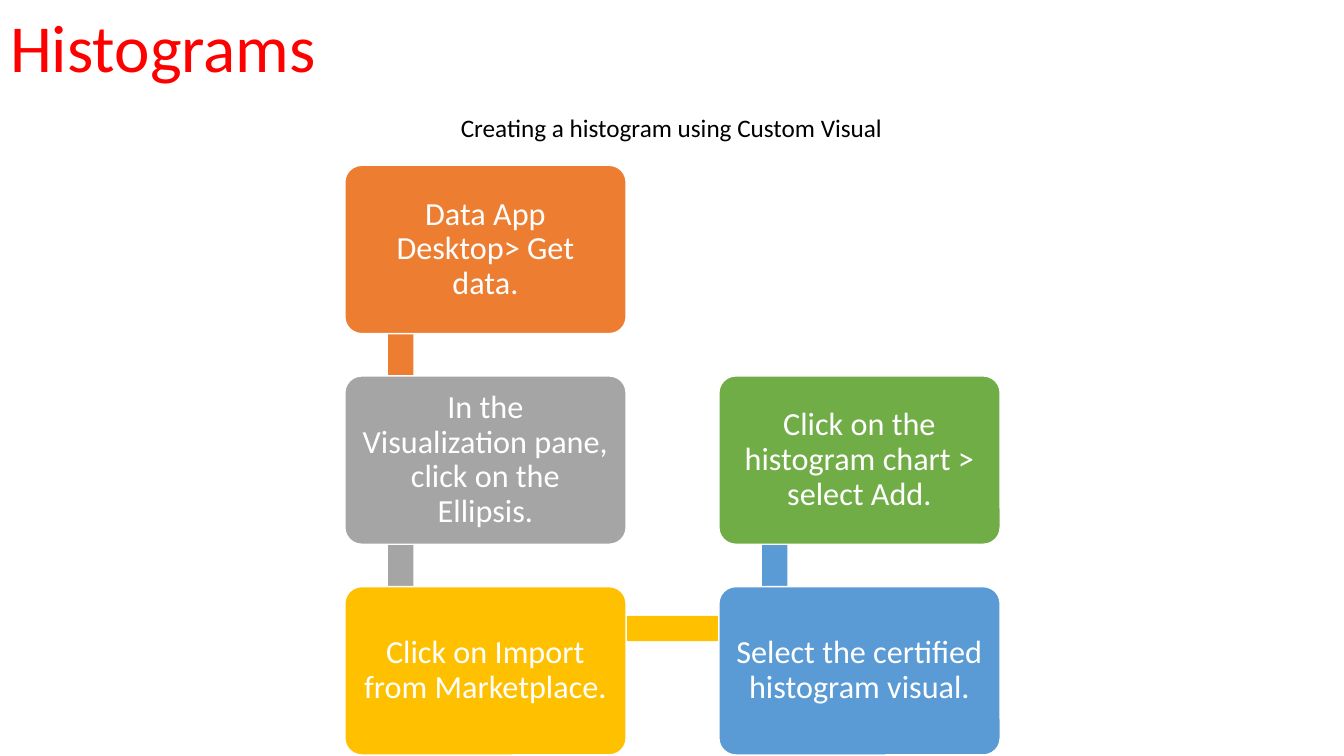
"""Build the slide that shows the steps for creating a histogram."""
from dataclasses import dataclass

from pptx import Presentation
from pptx.dml.color import RGBColor
from pptx.enum.shapes import MSO_SHAPE
from pptx.enum.text import MSO_ANCHOR, MSO_AUTO_SIZE, PP_ALIGN
from pptx.shapes.autoshape import Shape
from pptx.slide import Slide
from pptx.util import Inches, Pt

FONT = "Calibri"
RED = RGBColor(0xFF, 0x00, 0x00)
BLACK = RGBColor(0x00, 0x00, 0x00)
WHITE = RGBColor(0xFF, 0xFF, 0xFF)
ORANGE = RGBColor(0xED, 0x7D, 0x31)
GRAY = RGBColor(0xA5, 0xA5, 0xA5)
GOLD = RGBColor(0xFF, 0xC0, 0x00)
BLUE = RGBColor(0x5B, 0x9B, 0xD5)
GREEN = RGBColor(0x70, 0xAD, 0x47)

GRID_LEFT, GRID_TOP = 3.42, 1.64
COLUMN_PITCH, ROW_PITCH = 3.71, 2.09
BOX_WIDTH, BOX_HEIGHT = 2.79, 1.67
BAR_THICKNESS = 0.25


@dataclass(frozen=True)
class Step:
    text: str
    color: RGBColor
    column: int
    row: int

    @property
    def left(self) -> float:
        return GRID_LEFT + self.column * COLUMN_PITCH

    @property
    def top(self) -> float:
        return GRID_TOP + self.row * ROW_PITCH


STEPS = [
    Step("Data App Desktop> Get data.", ORANGE, 0, 0),
    Step("In the Visualization pane, click on the Ellipsis.", GRAY, 0, 1),
    Step("Click on Import from Marketplace.", GOLD, 0, 2),
    Step("Select the certified histogram visual.", BLUE, 1, 2),
    Step("Click on the histogram chart > select Add.", GREEN, 1, 1),
]


def write_text(shape: Shape, text: str, size: float, color: RGBColor,
               alignment: PP_ALIGN, line_spacing: float = 1.0) -> None:
    """Write one formatted paragraph into a shape."""
    shape.text_frame.word_wrap = True
    paragraph = shape.text_frame.paragraphs[0]
    paragraph.alignment = alignment
    paragraph.line_spacing = line_spacing
    run = paragraph.add_run()
    run.text = text
    run.font.name = FONT
    run.font.size = Pt(size)
    run.font.color.rgb = color


def add_block(slide: Slide, kind: MSO_SHAPE, left: float, top: float,
              width: float, height: float, color: RGBColor) -> Shape:
    """Add a filled shape without outline or shadow."""
    block = slide.shapes.add_shape(
        kind, Inches(left), Inches(top), Inches(width), Inches(height))
    block.shadow.inherit = False
    block.fill.solid()
    block.fill.fore_color.rgb = color
    block.line.fill.background()
    return block


def add_bar(slide: Slide, start: Step, end: Step) -> None:
    """Add the bar that links two neighbouring steps."""
    if start.row == end.row:
        add_block(slide, MSO_SHAPE.RECTANGLE, start.left + 0.56, start.top + 0.29,
                  COLUMN_PITCH, BAR_THICKNESS, start.color)
    else:
        add_block(slide, MSO_SHAPE.RECTANGLE, start.left + 0.43,
                  min(start.top, end.top) + 0.41,
                  BAR_THICKNESS, ROW_PITCH, start.color)


def add_step(slide: Slide, step: Step) -> None:
    """Add the rounded box of a step with its text."""
    box = add_block(slide, MSO_SHAPE.ROUNDED_RECTANGLE, step.left, step.top,
                    BOX_WIDTH, BOX_HEIGHT, step.color)
    box.adjustments[0] = 0.1
    box.line.color.rgb = WHITE
    box.line.width = Pt(1)
    frame = box.text_frame
    frame.vertical_anchor = MSO_ANCHOR.MIDDLE
    frame.margin_left = frame.margin_right = Inches(0.12)
    frame.margin_top = frame.margin_bottom = Inches(0.12)
    write_text(box, step.text, 23, WHITE, PP_ALIGN.CENTER, 0.9)


def main() -> None:
    """Build and save the presentation."""
    presentation = Presentation()
    presentation.slide_width = Inches(13.33)
    presentation.slide_height = Inches(7.5)
    slide = presentation.slides.add_slide(presentation.slide_layouts[5])

    title = slide.shapes.title
    title.left, title.top = Inches(0), Inches(0)
    title.width, title.height = Inches(6.67), Inches(0.91)
    title.text_frame.vertical_anchor = MSO_ANCHOR.TOP
    title.text_frame.auto_size = MSO_AUTO_SIZE.SHAPE_TO_FIT_TEXT
    write_text(title, "Histograms", 48, RED, PP_ALIGN.LEFT)

    for start, end in zip(STEPS, STEPS[1:]):
        add_bar(slide, start, end)
    for step in STEPS:
        add_step(slide, step)

    subtitle = slide.shapes.add_textbox(
        Inches(3.25), Inches(1.07), Inches(6.82), Inches(0.4))
    subtitle.text_frame.auto_size = MSO_AUTO_SIZE.SHAPE_TO_FIT_TEXT
    write_text(subtitle, "Creating a histogram using Custom Visual", 18, BLACK,
               PP_ALIGN.CENTER)
    presentation.save("out.pptx")


if __name__ == "__main__":
    main()
